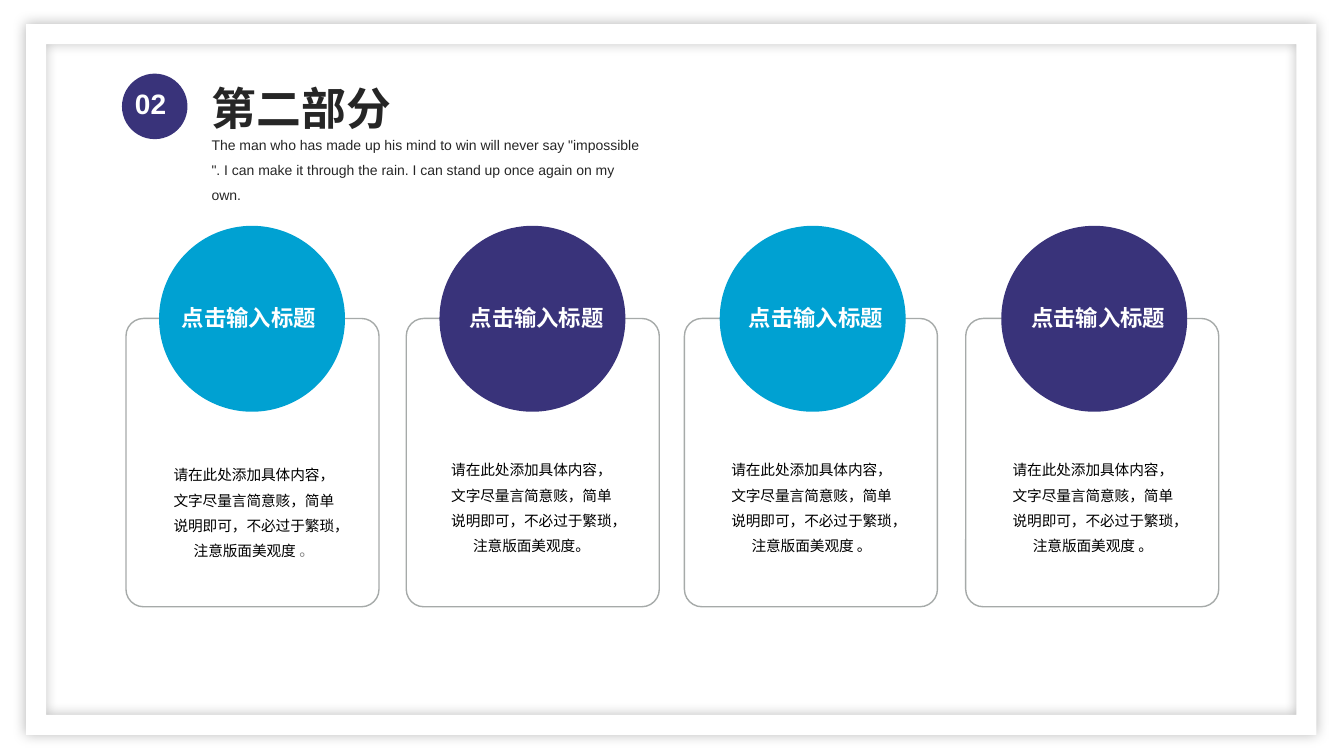
"""Build the second-part slide with four titled cards."""
from lxml.etree import SubElement
from pptx import Presentation
from pptx.dml.color import RGBColor
from pptx.enum.shapes import MSO_SHAPE as Kind
from pptx.enum.text import MSO_ANCHOR as Anchor, MSO_AUTO_SIZE as Fit, PP_ALIGN as Align
from pptx.oxml.ns import qn
from pptx.util import Pt

WHITE = RGBColor(0xFF, 0xFF, 0xFF)
BLACK = RGBColor(0, 0, 0)
DARK = RGBColor(0x26, 0x26, 0x26)
GREY = RGBColor(0x80, 0x80, 0x80)
EDGE = RGBColor(0xA6, 0xAA, 0xA9)
BLUE = RGBColor(0x00, 0xA1, 0xD2)
NAVY = RGBColor(0x39, 0x33, 0x7A)

deck = Presentation()
deck.slide_width, deck.slide_height = Pt(960), Pt(540)
slide = deck.slides.add_slide(deck.slide_layouts[5])
shapes = slide.shapes


def draw(kind, box, fill=None, line=None):
    shape = shapes.add_shape(kind, *map(Pt, box))
    shape.shadow.inherit = False
    if fill is None:
        shape.fill.background()
    else:
        shape.fill.solid()
        shape.fill.fore_color.rgb = fill
    if line is None:
        shape.line.fill.background()
    else:
        shape.line.color.rgb = line
        shape.line.width = Pt(1)
    return shape


def write(text, box, size, color, bold=False, space=None, mid=False, shape=None):
    shape = shape or shapes.add_textbox(0, 0, 0, 0)
    shape.left, shape.top, shape.width, shape.height = map(Pt, box)
    frame = shape.text_frame
    frame.word_wrap = True
    frame.auto_size = Fit.NONE
    frame.vertical_anchor = Anchor.MIDDLE if mid else Anchor.TOP
    if mid:
        frame.margin_left = frame.margin_right = 0
    para = frame.paragraphs[0]
    para.add_run().text = text
    para.alignment = Align.CENTER if mid else Align.LEFT
    if space:
        para.line_spacing = space
    font = para.font
    font.name, font.size, font.bold = "Arial", Pt(size), bold
    font.color.rgb = color
    return para


panel = draw(Kind.FRAME, (18.7, 17.3, 921.6, 507.6), WHITE)
panel.adjustments[0] = 0.028
glow = SubElement(panel._element.spPr.find(qn("a:effectLst")), qn("a:outerShdw"),
                  blurRad=str(Pt(9)), dist="0", dir="0", algn="ctr", rotWithShape="0")
tint = SubElement(glow, qn("a:srgbClr"), val="000000")
SubElement(tint, qn("a:alpha"), val="27000")

write("第二部分", (144, 46, 230, 50), 32, DARK, True, 1.2, shape=shapes.title)
write('The man who has made up his mind to win will never say "impossible ". '
      "I can make it through the rain. I can stand up once again on my own.",
      (144, 87.8, 320.4, 41.8), 10, DARK, space=Pt(18))
draw(Kind.OVAL, (87.1, 52.6, 46.8, 46.8), NAVY)
write("02", (89.3, 58.3, 44.6, 31.7), 20, WHITE, True)

BODY = "请在此处添加具体内容，文字尽量言简意赅，简单说明即可，不必过于繁琐，注意版面美观度"
cards = [
    (90, 113.6, 115.3, 119.9, 319, BLUE, " "),
    (290.2, 313.9, 320.9, 318.2, 315.4, NAVY, "。"),
    (488.9, 514.1, 520.3, 518.3, 315.4, BLUE, " 。"),
    (689.8, 715.2, 721.9, 719.2, 315.4, NAVY, " 。"),
]
for card, disc, head, left, top, color, tail in cards:
    box = draw(Kind.ROUNDED_RECTANGLE, (card, 227.5, 180.7, 205.9), line=EDGE)
    box.adjustments[0] = 0.069
    draw(Kind.OVAL, (disc, 161.3, 132.8, 132.8), color)
    write("点击输入标题", (head, 205.2, 125, 45.4), 16, WHITE, True, 0.9, True)
    para = write(BODY + tail, (left, top, 123, 89.3), 10.5, BLACK, space=Pt(18), mid=True)
    if tail == " ":
        stop = para.add_run()
        stop.text = "。"
        stop.font.size = Pt(10.7)
        stop.font.color.rgb = GREY

deck.save("out.pptx")
